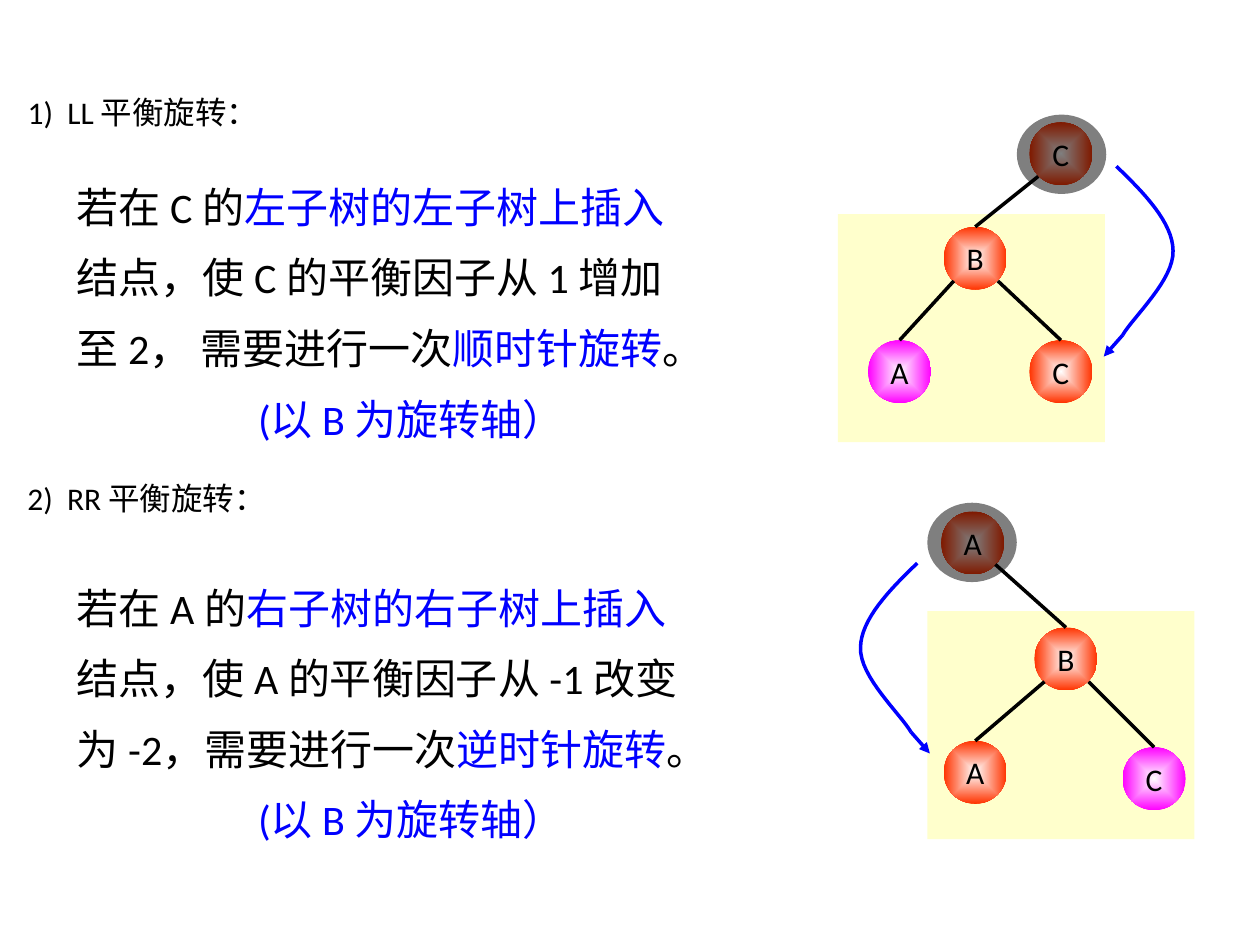
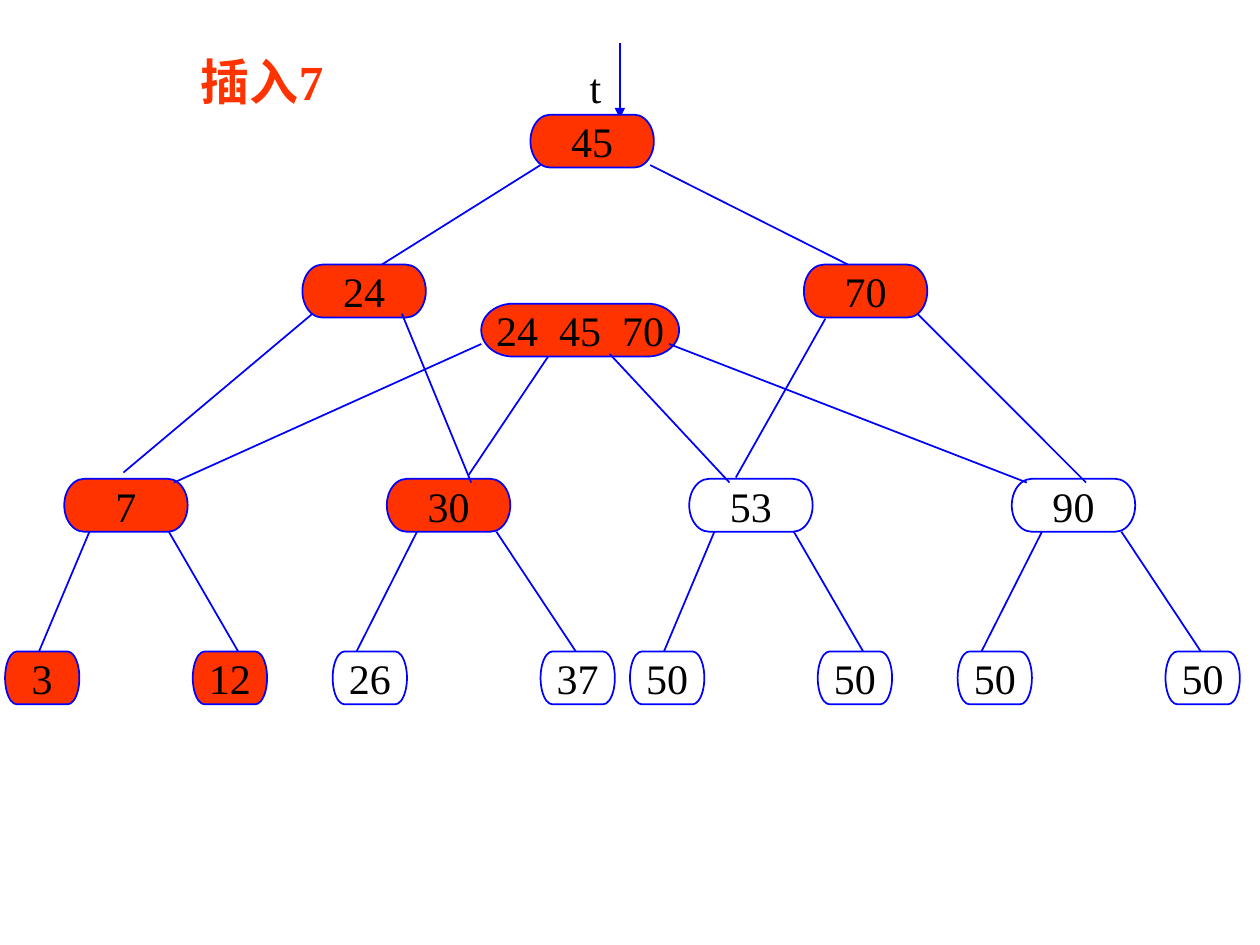
from dataclasses import dataclass

from lxml import etree
from pptx import Presentation, util as u
from pptx.dml import color
from pptx.enum import shapes, text
from pptx.oxml import ns

COLUMNS, ROWS = 100, 75
LEFT, CENTER = text.PP_ALIGN.LEFT, text.PP_ALIGN.CENTER
TOP, MIDDLE = text.MSO_ANCHOR.TOP, text.MSO_ANCHOR.MIDDLE
FORM = shapes.MSO_SHAPE


@dataclass(frozen=True)
class Theme:
    paper: str = "FFFFFF"
    ink: str = "000000"
    blue: str = "0000FF"
    red: str = "FF3300"
    magenta: str = "FF00FF"
    cream: str = "FFFFCC"
    sans: str = "Calibri"
    serif: str = "Times New Roman"
    small: int = 18
    normal: int = 24
    large: int = 28
    thin: int = 1
    thick: int = 2
    leading: float = 1.4


def rgb(value):
    return color.RGBColor.from_string(value)


class Painter:
    def __init__(self, deck, theme):
        self.deck, self.theme, self.page = deck, theme, None

    def new_page(self, layout):
        self.page = self.deck.slides.add_slide(self.deck.slide_layouts[layout])
        fill = self.page.background.fill
        fill.solid()
        fill.fore_color.rgb = rgb(self.theme.paper)

    def x(self, columns):
        return round(self.deck.slide_width * columns / COLUMNS)

    def y(self, rows):
        return round(self.deck.slide_height * rows / ROWS)

    def place(self, area):
        left, top, width, height = area
        return self.x(left), self.y(top), self.x(width), self.y(height)

    def add_text(self, box, lines, font, size, align=LEFT, anchor=TOP,
                 wrap=True, bold=False, leading=None):
        frame = box.text_frame
        frame.auto_size = text.MSO_AUTO_SIZE.NONE
        frame.word_wrap = wrap
        frame.vertical_anchor = anchor
        for number, runs in enumerate(lines):
            para = frame.add_paragraph() if number else frame.paragraphs[0]
            para.alignment = align
            para.space_before = u.Pt(0)
            if leading:
                para.line_spacing = leading
            for words, tint, spacing in runs:
                span = para.add_run()
                span.text = words
                span.font.name, span.font.size = font, u.Pt(size)
                span.font.bold = bold
                span.font.color.rgb = rgb(tint)
                if spacing:
                    span.font._element.set("spc", str(spacing * 100))

    def spread(self, parts, spacing):
        runs = []
        for number, part in enumerate(parts):
            if number:
                runs.append((" ", self.theme.ink, spacing))
            runs.append((part, self.theme.ink, 0))
        return [runs]

    def title(self, area, lines, font, size, **style):
        box = self.page.shapes.title
        box.left, box.top, box.width, box.height = self.place(area)
        self.add_text(box, lines, font, size, **style)

    def label(self, area, lines, font, size, **style):
        box = self.page.shapes.add_textbox(*self.place(area))
        self.add_text(box, lines, font, size, **style)

    def body(self, slot, area, lines):
        box = self.page.placeholders[slot]
        box.left, box.top, box.width, box.height = self.place(area)
        theme = self.theme
        runs = [[(words, theme.blue if marked else theme.ink, 0)
                 for words, marked in line] for line in lines]
        self.add_text(box, runs, theme.sans, theme.normal, leading=theme.leading)
        for para in box.text_frame.paragraphs:
            props = para._p.get_or_add_pPr()
            props.set("marL", "0")
            props.set("indent", "0")
            etree.SubElement(props, ns.qn("a:buNone"))
        box.text_frame.paragraphs[-1].alignment = CENTER

    def shape(self, form, area, fill, line=None):
        item = self.page.shapes.add_shape(form, *self.place(area))
        item.shadow.inherit = False
        item.fill.solid()
        item.fill.fore_color.rgb = rgb(fill)
        if line:
            item.line.color.rgb = rgb(line)
            item.line.width = u.Pt(self.theme.thin)
        else:
            item.line.fill.background()
        return item

    def ball(self, name, left, top, edge):
        theme = self.theme
        item = self.shape(FORM.OVAL, (left, top, 5, 5), edge)
        item.fill.gradient()
        for stop, tint in zip(item.fill.gradient_stops, (theme.paper, edge)):
            stop.color.rgb = rgb(tint)
        grad = item._element.spPr.find(ns.qn("a:gradFill"))
        grad.remove(grad.find(ns.qn("a:lin")))
        shade = etree.SubElement(grad, ns.qn("a:path"), {"path": "shape"})
        etree.SubElement(shade, ns.qn("a:fillToRect"),
                         {side: "50000" for side in "ltrb"})
        self.add_text(item, [[(name, theme.ink, 0)]], theme.sans, theme.small,
                      align=CENTER, anchor=MIDDLE, wrap=False)

    def halo(self, left, top):
        item = self.shape(FORM.OVAL, (left, top, 7.1, 6.3), self.theme.ink)
        tint = item._element.spPr.find(".//" + ns.qn("a:srgbClr"))
        etree.SubElement(tint, ns.qn("a:alpha"), {"val": "50000"})

    def key(self, keys, left, top, width, fill):
        theme = self.theme
        item = self.shape(FORM.FLOWCHART_TERMINATOR, (left, top, width, 4.2),
                          fill, theme.blue)
        self.add_text(item, self.spread(keys.split(), 6), theme.serif,
                      theme.normal, align=CENTER, anchor=MIDDLE, wrap=False)

    def line(self, x1, y1, x2, y2, tint, width, arrow=False):
        item = self.page.shapes.add_connector(
            shapes.MSO_CONNECTOR.STRAIGHT,
            self.x(x1), self.y(y1), self.x(x2), self.y(y2))
        item.line.color.rgb = rgb(tint)
        item.line.width = u.Pt(width)
        props = item._element.spPr
        if arrow:
            etree.SubElement(props.find(ns.qn("a:ln")), ns.qn("a:tailEnd"),
                             {"type": "triangle"})
        etree.SubElement(props, ns.qn("a:effectLst"))

    def curve(self, start, bends, steps=16):
        points = [start]
        for bend in bends:
            corners = (points[-1], *bend)
            for step in range(1, steps + 1):
                t = step / steps
                weights = ((1 - t) ** 3, 3 * t * (1 - t) ** 2,
                           3 * t * t * (1 - t), t ** 3)
                points.append(tuple(
                    sum(w * corner[axis] for w, corner in zip(weights, corners))
                    for axis in (0, 1)))
        spots = [(self.x(x), self.y(y)) for x, y in points]
        pen = self.page.shapes.build_freeform(*spots[0])
        pen.add_line_segments(spots[1:], close=False)
        item = pen.convert_to_shape()
        item.shadow.inherit = False
        item.fill.background()
        item.line.color.rgb = rgb(self.theme.blue)
        item.line.width = u.Pt(self.theme.thick)


def turn_arrow(painter, mirrored):
    def at(x, y):
        return (161.4 - x, y + 31.5) if mirrored else (x, y)

    theme = painter.theme
    bends = [[(90.8, 15.3), (93.1, 17.7), (93.1, 19.9)],
             [(93.2, 22.2), (89.9, 25.2), (89.1, 26.6)]]
    painter.curve(at(88.6, 13.2), [[at(*point) for point in bend] for bend in bends])
    painter.line(*at(89.1, 26.6), *at(87.6, 28.3), theme.blue, theme.thick, arrow=True)


def rotation_tree(painter, block, balls, edges, halo, mirrored):
    theme = painter.theme
    painter.shape(FORM.RECTANGLE, (*block, 21.2, 18.1), theme.cream)
    for ball in balls:
        painter.ball(*ball)
    for edge in edges:
        painter.line(*edge, theme.ink, theme.thick)
    painter.halo(*halo)
    turn_arrow(painter, mirrored)


def rotation_page(painter):
    theme = painter.theme
    painter.new_page(3)
    painter.title((1.2, 6.3, 31.5, 5.2), painter.spread(["1)", "LL 平衡旋转："], 4),
                  theme.sans, theme.small, anchor=MIDDLE)
    painter.label((1.2, 37.5, 29.6, 5), painter.spread(["2)", "RR 平衡旋转："], 4),
                  theme.sans, theme.small)
    painter.body(1, (5.1, 12.3, 55.1, 23.4), [
        [("若在 C 的", False), ("左子树的左子树上插入", True)],
        [("结点，使 C 的平衡因子从 1 增加", False)],
        [("至 2， 需要进行一次", False), ("顺时针旋转", True), ("。", False)],
        [("(以 B 为旋转轴）", True)]])
    painter.body(2, (5.1, 44.1, 55.1, 23), [
        [("若在 A 的", False), ("右子树的右子树上插入", True)],
        [("结点，使 A 的平衡因子从 -1 改变", False)],
        [("为 -2，需要进行一次", False), ("逆时针旋转", True), ("。", False)],
        [("(以 B 为旋转轴）", True)]])
    rotation_tree(
        painter, (66.5, 17),
        [("C", 81.7, 9.7, theme.red), ("B", 74.9, 18, theme.red),
         ("A", 68.9, 27, theme.magenta), ("C", 81.7, 27, theme.red)],
        [(82.4, 14, 77.4, 18), (79.2, 22.3, 84.2, 27), (75.7, 22.3, 71.4, 27)],
        (80.7, 9.1), False)
    rotation_tree(
        painter, (73.6, 48.5),
        [("A", 74.7, 40.6, theme.red), ("B", 82.1, 49.8, theme.red),
         ("A", 74.9, 58.8, theme.red), ("C", 89.1, 59.3, theme.magenta)],
        [(79, 44.8, 84.6, 49.8), (86.4, 54.1, 91.6, 59.3), (82.9, 54.1, 77.4, 58.8)],
        (73.6, 39.9), True)


def insertion_page(painter):
    theme = painter.theme
    red, paper = theme.red, theme.paper
    painter.new_page(5)
    painter.title((9.8, 3.6, 22, 5.7), [[("插入7", red, 0)]],
                  theme.serif, theme.large, align=CENTER, bold=True)
    painter.label((43.7, 4.4, 7.1, 5), [[("t", theme.ink, 0)]],
                  theme.serif, theme.normal, align=CENTER)
    painter.line(49.2, 3.4, 49.2, 9.4, theme.blue, theme.thin, arrow=True)

    for keys, left, top, width in [("45", 42.1, 9.1, 9.8), ("24", 24, 21, 9.8),
                                   ("70", 63.8, 21, 9.8),
                                   ("24 45 70", 38.2, 24.1, 15.7)]:
        painter.key(keys, left, top, width, red)

    half, middle, bottom = 49.6, 38, 51.7
    narrow = (-4.7, 10.2), ((2, -2), (8.3, 13.8))
    wide = (-4.3, 12.2), ((2.4, -2.4), (8.7, 15))
    families = [("7", 5.1, red, narrow, [("3", red), ("12", red)]),
                ("30", 30.7, red, wide, [("26", paper), ("37", paper)]),
                ("53", 5.1 + half, paper, narrow, [("50", paper)] * 2),
                ("90", 30.7 + half, paper, wide, [("50", paper)] * 2)]
    for name, left, fill, (offsets, edges), leaves in families:
        painter.key(name, left, middle, 9.8, fill)
        for (leaf, tint), offset, (start, end) in zip(leaves, offsets, edges):
            painter.key(leaf, left + offset, bottom, 5.9, tint)
            painter.line(left + start, middle + 4.2, left + end, bottom,
                         theme.blue, theme.thin)

    for edge in [(42.9, 13.1, 30.3, 21), (51.6, 13.1, 67.3, 21),
                 (24.8, 24.9, 9.8, 37.5), (31.9, 24.9, 37.4, 38.3),
                 (65.5, 25.3, 58.4, 37.9), (72.8, 24.9, 86.2, 38.3),
                 (38.2, 27.3, 13.8, 38.3), (43.5, 28.3, 37.2, 37.7),
                 (48.4, 28.1, 57.9, 38.3), (53.1, 27.3, 81.5, 38.3)]:
        painter.line(*edge, theme.blue, theme.thin)


def main():
    deck = Presentation()
    deck.slide_width, deck.slide_height = u.Inches(10), u.Inches(7.5)
    painter = Painter(deck, Theme())
    rotation_page(painter)
    insertion_page(painter)
    deck.save("out.pptx")


if __name__ == "__main__":
    main()
